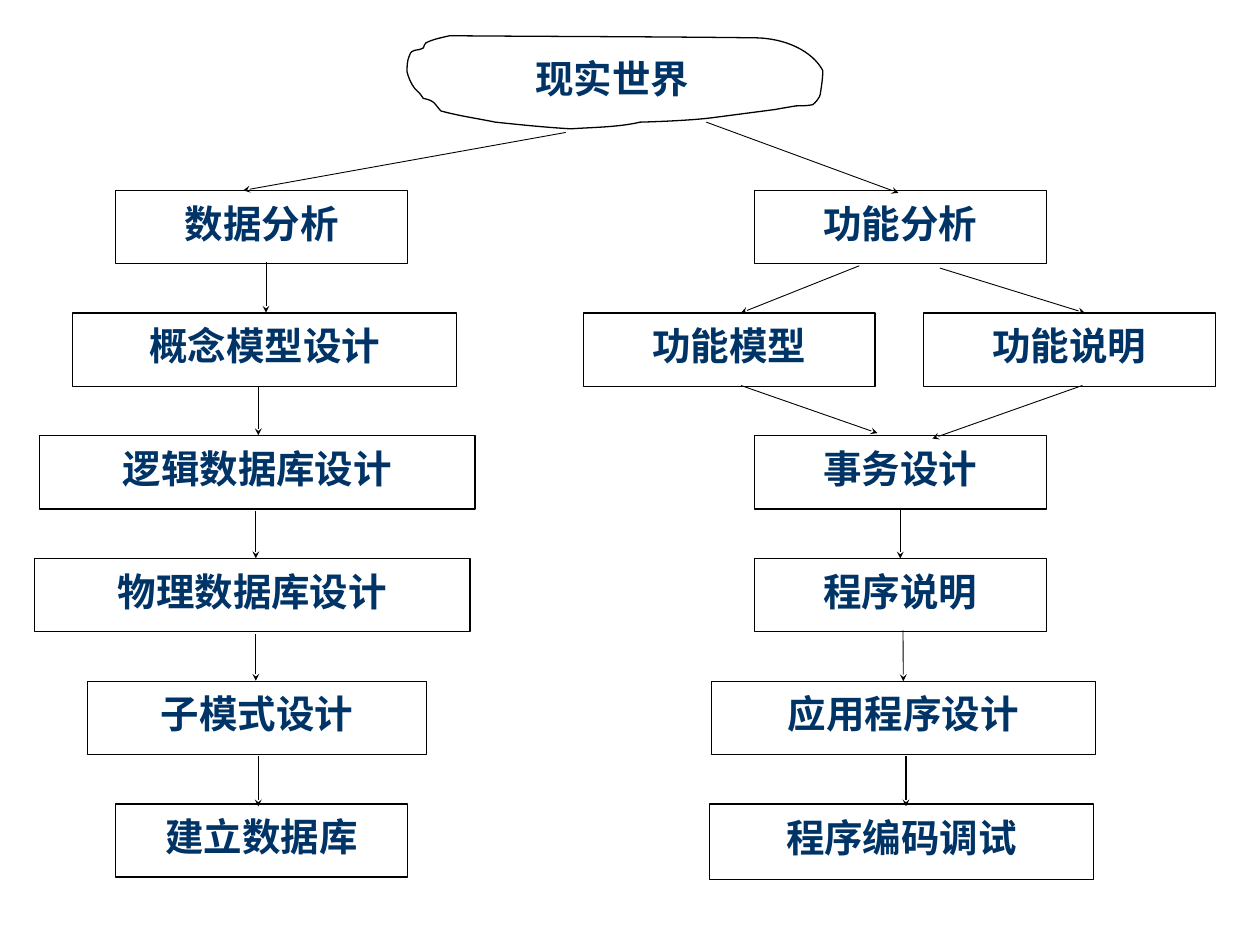
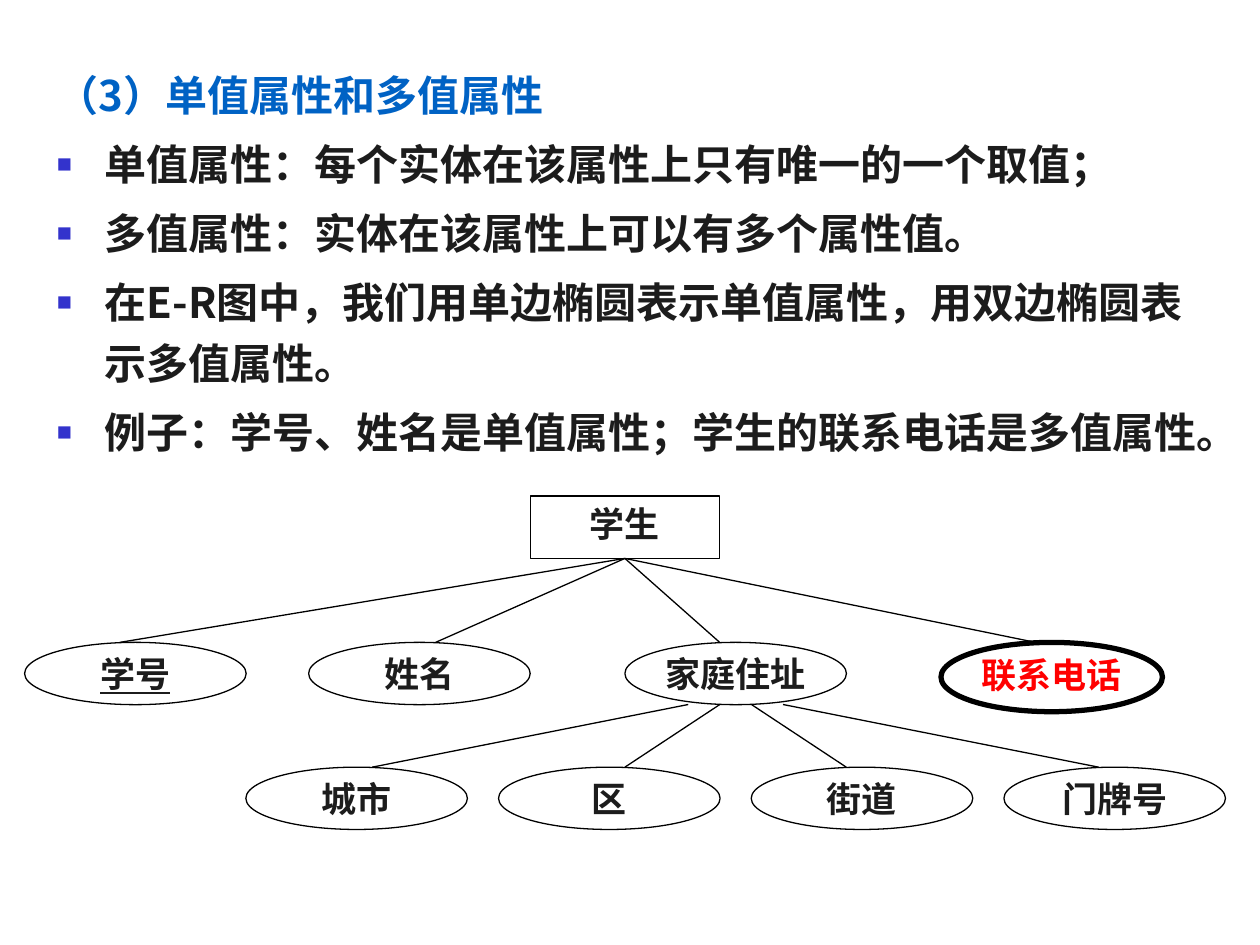
from dataclasses import dataclass
from typing import Optional, Union

from lxml.etree import SubElement
from pptx import Presentation
from pptx.dml.color import RGBColor
from pptx.enum.shapes import MSO_CONNECTOR as Connector, MSO_SHAPE as Preset
from pptx.enum.text import MSO_ANCHOR as Anchor, PP_ALIGN as Align
from pptx.oxml.ns import qn
from pptx.util import Pt

BLACK = RGBColor(0x00, 0x00, 0x00)
WHITE = RGBColor(0xFF, 0xFF, 0xFF)
NAVY = RGBColor(0x00, 0x33, 0x66)
HEADING_BLUE = RGBColor(0x00, 0x62, 0xC4)
BULLET_BLUE = RGBColor(0x33, 0x33, 0xCC)
INK = RGBColor(0x1C, 0x1C, 0x1C)
RED = RGBColor(0xFF, 0x00, 0x00)

FONT = "Noto Sans CJK SC"
BOTTOM, TOP = 2, 0
ROW_TOP, ROW_PITCH, STEP_HEIGHT = 108.8, 70.12, 41.8
OVAL_WIDTH, OVAL_HEIGHT = 126.6, 35.6
HANGING = 27.4

Point = tuple[float, float]
End = Union[str, Point]


@dataclass
class Step:
    text: str
    row: int
    left: float
    width: float = 166.8
    height: float = STEP_HEIGHT


@dataclass
class Attribute:
    text: str
    left: float
    top: float
    height: float = OVAL_HEIGHT
    border: float = 0.75
    color: RGBColor = INK
    underline: Optional[bool] = None


@dataclass
class Link:
    begin: End
    end: End
    width: float = 0.5


STEPS = [
    Step("数据分析", 0, 66.1),
    Step("概念模型设计", 1, 41.5, 219.5),
    Step("逻辑数据库设计", 2, 22.5, 249),
    Step("物理数据库设计", 3, 19.7, 249),
    Step("子模式设计", 4, 49.9, 193.7),
    Step("建立数据库", 5, 66.1),
    Step("功能分析", 0, 431.1),
    Step("功能模型", 1, 333.3),
    Step("功能说明", 1, 527.7),
    Step("事务设计", 2, 431.1),
    Step("程序说明", 3, 431.1),
    Step("应用程序设计", 4, 406.5, 219.4),
    Step("程序编码调试", 5, 405.4, 219.4, 43.2),
]

FLOW = [
    Link((323.3, 75.7), (139, 108.8)),
    Link((152, 150), (152, 178.7)),
    Link((147.6, 221.2), (147.6, 248.7)),
    Link((146.2, 291.9), (146.2, 319)),
    Link((146.2, 362.2), (146.2, 389)),
    Link((147.6, 432), (147.6, 460.8)),
    Link((403.6, 69.8), (513.4, 110.2)),
    Link((491, 151.9), (423.4, 178.8)),
    Link((537.1, 153.2), (619.9, 178.8)),
    Link((423.4, 220.3), (501.4, 247.5)),
    Link((618.5, 220.3), (532.8, 250.6)),
    Link("事务设计", "程序说明"),
    Link((516, 360.2), "应用程序设计"),
    Link((517.7, 432), (517.7, 460.8), 0.75),
]

CLOUD_START = (243.4, 24.5)
CLOUD_CURVES = [
    ((247.7, 22.3), (252, 21.6), (257, 20.4)),
    ((314.6, 20.9), (372.2, 20.9), (430.6, 21.6)),
    ((449.3, 21.6), (464.4, 29.5), (470.2, 40.3)),
    ((470.2, 44.6), (469.4, 49.7), (468.7, 54)),
    ((468.7, 55.4), (465.8, 59), (464.4, 59.8)),
    ((461.5, 60.5), (457.9, 60.5), (455, 60.5)),
    ((450.7, 61.2), (446.4, 61.9), (442.8, 62.6)),
    ((431.3, 64.1), (420.5, 65.5), (409, 67)),
    ((394.6, 69.1), (365.8, 69.8), (365.8, 69.8)),
    ((353.5, 72.7), (339.1, 72.7), (326.2, 73.6)),
    ((311, 72.7), (297.4, 71.3), (283, 69.8)),
    ((272.9, 67.7), (262.1, 66.2), (252, 63.4)),
    ((248.4, 59.8), (249.1, 57.6), (241.9, 56.2)),
    ((241.2, 55.4), (240.5, 54), (239.8, 53.3)),
    ((239, 52.6), (237.6, 51.1), (236.9, 50.4)),
    ((234.7, 47.5), (233.3, 43.9), (232.6, 41)),
    ((232.6, 38.2), (232.6, 34.6), (234, 31.7)),
    ((235.4, 27.4), (238.3, 29.5), (241.9, 27.4)),
    ((242.6, 25.9), (242.6, 25.2), CLOUD_START),
]

HEADING = "（3）单值属性和多值属性"
BULLETS = [
    "单值属性：每个实体在该属性上只有唯一的一个取值；",
    "多值属性：实体在该属性上可以有多个属性值。",
    "在E-R图中，我们用单边椭圆表示单值属性，用双边椭圆表示多值属性。",
    "例子：学号、姓名是单值属性；学生的联系电话是多值属性。",
]

ENTITY = "学生"
STUDENT_TOP, ADDRESS_TOP = 367.1, 438.4
ATTRIBUTES = [
    Attribute("学号", 14.1, STUDENT_TOP, underline=True),
    Attribute("姓名", 176.4, STUDENT_TOP),
    Attribute("家庭住址", 357.1, STUDENT_TOP),
    Attribute("联系电话", 537.7, STUDENT_TOP, 39.6, 3, RED),
] + [
    Attribute(text, 140.5 + 144.4 * column, ADDRESS_TOP)
    for column, text in enumerate(["城市", "区", "街道", "门牌号"])
]
RELATIONS = [
    Link(ENTITY, (x, STUDENT_TOP), 0.75) for x in (68.4, 248.9, 411.3, 591.8)
] + [
    Link((393.3 + 18.05 * column, 402.6), (x, ADDRESS_TOP), 0.75)
    for column, x in enumerate((212.7, 357.1, 483.6, 627.8))
]


def write_text(para, text: str, *, size: float, color: RGBColor, spacing,
               align=Align.LEFT, underline: Optional[bool] = None) -> None:
    para.alignment = align
    para.line_spacing = spacing
    span = para.add_run()
    span.text = text
    font = span.font
    font.size, font.bold, font.underline = Pt(size), True, underline
    font.color.rgb = color
    font.name = FONT
    SubElement(font._element, qn("a:ea"), typeface=FONT)


def style_shape(shape, fill: Optional[RGBColor] = None, border: float = 0.75) -> None:
    shape.shadow.inherit = False
    if fill is None:
        shape.fill.background()
    else:
        shape.fill.solid()
        shape.fill.fore_color.rgb = fill
    shape.line.color.rgb = BLACK
    shape.line.width = Pt(border)


def set_frame(shape, anchor=Anchor.TOP):
    frame = shape.text_frame
    frame.word_wrap = True
    frame.vertical_anchor = anchor
    return frame


def write_step(shape, text: str) -> None:
    frame = set_frame(shape, Anchor.MIDDLE)
    write_text(frame.paragraphs[0], text, size=22, color=NAVY, spacing=0.8, align=Align.CENTER)


def write_node(shape, text: str, **look) -> None:
    frame = set_frame(shape)
    write_text(frame.paragraphs[0], text, size=20, spacing=Pt(24), align=Align.CENTER, **look)


def add_box(page, preset, left: float, top: float, width: float, height: float):
    return page.shapes.add_shape(preset, Pt(left), Pt(top), Pt(width), Pt(height))


def draw_link(page, link: Link, boxes: dict, head: Optional[str] = None) -> None:
    begin = (0, 0) if isinstance(link.begin, str) else link.begin
    end = (0, 0) if isinstance(link.end, str) else link.end
    line = page.shapes.add_connector(Connector.STRAIGHT, *map(Pt, begin + end))
    if isinstance(link.begin, str):
        line.begin_connect(boxes[link.begin], BOTTOM)
    if isinstance(link.end, str):
        line.end_connect(boxes[link.end], TOP)
    line.line.color.rgb = BLACK
    line.line.width = Pt(link.width)
    if head:
        SubElement(line.line._get_or_add_ln(), qn("a:tailEnd"), type=head, w="sm", len="sm")
    SubElement(line._element.spPr, qn("a:effectLst"))


def bend_segments(shape, curves: list) -> None:
    segments = list(shape._element.iter(qn("a:lnTo")))
    for segment, curve in zip(segments, curves):
        segment.tag = qn("a:cubicBezTo")
        segment.clear()
        for x, y in curve:
            SubElement(segment, qn("a:pt"), x=str(Pt(x) - shape.left), y=str(Pt(y) - shape.top))


def draw_cloud(page) -> None:
    builder = page.shapes.build_freeform(*map(Pt, CLOUD_START), scale=1.0)
    corners = [tuple(map(Pt, curve[-1])) for curve in CLOUD_CURVES]
    builder.add_line_segments(corners, close=True)
    cloud = builder.convert_to_shape()
    bend_segments(cloud, CLOUD_CURVES)
    style_shape(cloud)
    label = page.shapes.add_textbox(Pt(269.3), Pt(21.8), Pt(161.3), Pt(50.4))
    write_step(label, "现实世界")


def draw_design_flow(page) -> None:
    draw_cloud(page)
    boxes = {}
    for step in STEPS:
        top = ROW_TOP + ROW_PITCH * step.row
        box = add_box(page, Preset.RECTANGLE, step.left, top, step.width, step.height)
        style_shape(box)
        write_step(box, step.text)
        boxes[step.text] = box
    for link in FLOW:
        draw_link(page, link, boxes, head="stealth")


def add_bullet(para) -> None:
    properties = para._p.get_or_add_pPr()
    color = SubElement(properties, qn("a:buClr"))
    SubElement(color, qn("a:srgbClr"), val=str(BULLET_BLUE))
    SubElement(properties, qn("a:buSzPct"), val="60000")
    SubElement(properties, qn("a:buFont"), typeface="Arial")
    SubElement(properties, qn("a:buChar"), char="■")


def draw_explanation(page) -> None:
    body = page.shapes.add_textbox(Pt(25.4), Pt(30.5), Pt(680.4), Pt(298.1))
    frame = set_frame(body)
    for index, text in enumerate([HEADING] + BULLETS):
        para = frame.add_paragraph() if index else frame.paragraphs[0]
        properties = para._p.get_or_add_pPr()
        properties.set("marL", str(Pt(HANGING)))
        properties.set("indent", str(-Pt(HANGING)))
        if index:
            add_bullet(para)
            para.space_before = Pt(5)
        write_text(para, text, size=24, color=INK if index else HEADING_BLUE, spacing=Pt(34.5))


def draw_attributes(page) -> None:
    entity = add_box(page, Preset.RECTANGLE, 303.1, 283.5, 108, 35.6)
    style_shape(entity, WHITE)
    write_node(entity, ENTITY, color=INK)
    for item in ATTRIBUTES:
        oval = add_box(page, Preset.OVAL, item.left, item.top, OVAL_WIDTH, item.height)
        style_shape(oval, WHITE, item.border)
        frame = oval.text_frame
        frame.margin_left = frame.margin_right = Pt(0)
        frame.margin_top = frame.margin_bottom = Pt(0.7)
        write_node(oval, item.text, color=item.color, underline=item.underline)
    for link in RELATIONS:
        draw_link(page, link, {ENTITY: entity})


def main() -> None:
    deck = Presentation()
    deck.slide_width, deck.slide_height = Pt(720), Pt(540)
    blank = deck.slide_layouts[6]
    draw_design_flow(deck.slides.add_slide(blank))
    attribute_page = deck.slides.add_slide(blank)
    draw_explanation(attribute_page)
    draw_attributes(attribute_page)
    deck.save("out.pptx")


if __name__ == "__main__":
    main()
